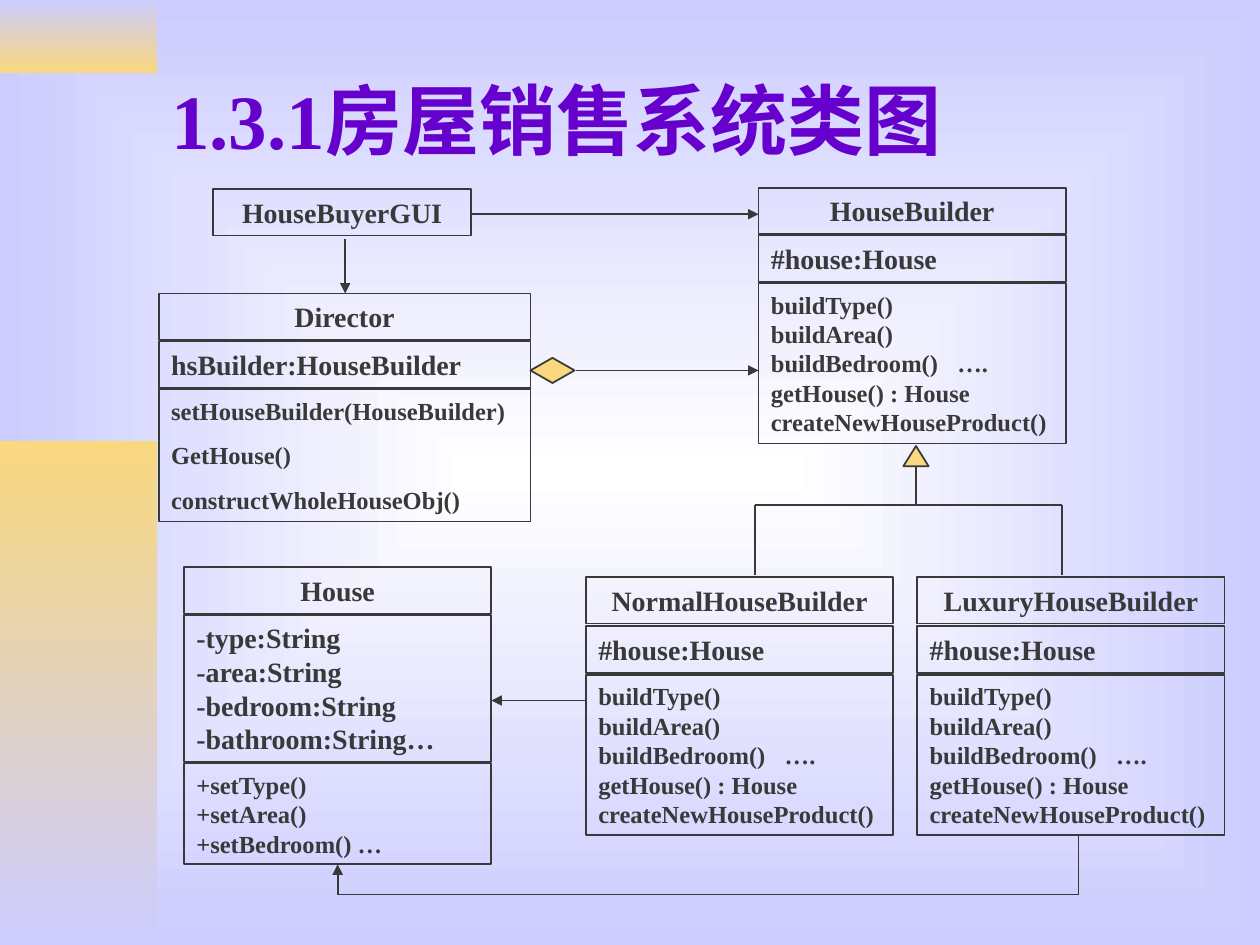
from lxml import etree
from pptx import Presentation
from pptx import util as u
from pptx.dml.color import RGBColor
from pptx.enum import shapes, text
from pptx.oxml import parse_xml
from pptx.oxml.ns import nsdecls, qn


class Theme:
    font = "Times New Roman"
    ink = RGBColor.from_string("393939")
    title = RGBColor.from_string("6600CC")
    gold = RGBColor.from_string("F9D87E")
    lilac = RGBColor.from_string("CCCCFF")
    white = RGBColor.from_string("FFFFFF")
    head, name, call = 44, 16, 14
    row = 0.37
    line = u.Pt(1)


class Board:
    def __init__(self, slide, look):
        self.slide, self.look = slide, look

    def blend(self, fill, first, last):
        fill.gradient()
        for stop, pos, hue in zip(fill.gradient_stops, (0, 1), (first, last)):
            stop.position = pos
            stop.color.rgb = hue

    def ground(self):
        self.blend(self.slide.background.fill, self.look.white, self.look.lilac)
        lin = self.slide.element.xpath(".//a:lin")[0]
        lin.getparent().replace(lin, parse_xml(
            f'<a:path {nsdecls("a")} path="rect">'
            '<a:fillToRect l="50000" t="50000" r="50000" b="50000"/></a:path>'))

    def band(self, y, h, first, last):
        box = self.shape("RECTANGLE", 0, y, 1.25, h)
        self.blend(box.fill, first, last)
        box.fill.gradient_angle = 270
        box.line.fill.background()

    def shape(self, kind, x, y, w, h, fill=None):
        form = self.slide.shapes.add_shape(
            shapes.MSO_SHAPE[kind], *map(u.Inches, (x, y, w, h)))
        form.shadow.inherit = False
        form.line.color.rgb = self.look.ink
        form.line.width = self.look.line
        if fill is None:
            form.fill.background()
        else:
            form.fill.solid()
            form.fill.fore_color.rgb = fill
        return form

    def label(self, form, lines, size, hue, align="LEFT", gap=0, anchor="TOP"):
        frame = form.text_frame
        frame.word_wrap = True
        frame.vertical_anchor = text.MSO_ANCHOR[anchor]
        style = {"name": self.look.font, "size": u.Pt(size), "bold": True}
        for i, line in enumerate(lines):
            para = frame.paragraphs[0] if i == 0 else frame.add_paragraph()
            para.alignment = text.PP_ALIGN[align]
            if i and gap:
                para.space_before = u.Pt(gap)
            if "\t" in line:
                tabs = etree.SubElement(para._p.get_or_add_pPr(), qn("a:tabLst"))
                etree.SubElement(tabs, qn("a:tab"), pos=str(u.Inches(1.48)), algn="l")
            run = para.add_run()
            run.text = line
            for key, val in style.items():
                setattr(run.font, key, val)
            run.font.color.rgb = hue

    def title(self, words):
        box = self.slide.shapes.add_textbox(*map(u.Inches, (1.26, 0.28, 8.5, 1.32)))
        self.label(box, [words], self.look.head, self.look.title, anchor="MIDDLE")

    def uml(self, name, x, y, w, parts=(), gap=0.01, lead=0):
        """Stack a name row, a field row and a method row."""
        look = self.look
        rows = [([name], look.row, look.name, "CENTER", 0)]
        for (lines, h), size, space in zip(parts, (look.name, look.call), (0, lead)):
            rows.append((lines, h, size, "LEFT", space))
        for lines, h, size, align, space in rows:
            box = self.shape("RECTANGLE", x, y, w, h)
            self.label(box, lines, size, look.ink, align, space)
            y += h + gap

    def link(self, x1, y1, x2, y2, arrow=False):
        wire = self.slide.shapes.add_connector(
            shapes.MSO_CONNECTOR.STRAIGHT, *map(u.Inches, (x1, y1, x2, y2)))
        wire.line.color.rgb = self.look.ink
        wire.line.width = self.look.line
        if arrow:
            etree.SubElement(wire.line._get_or_add_ln(), qn("a:tailEnd"), type="triangle")
        etree.SubElement(wire._element.spPr, qn("a:effectLst"))


def main():
    deck = Presentation()
    deck.slide_width, deck.slide_height = u.Inches(10), u.Inches(7.5)
    look = Theme()
    board = Board(deck.slides.add_slide(deck.slide_layouts[6]), look)

    # Backdrop and title
    board.ground()
    board.band(0, 0.58, look.lilac, look.gold)
    board.band(3.5, 4, look.gold, look.lilac)
    board.title("1.3.1房屋销售系统类图")

    # Classes
    wide = 2.44
    build = [
        (["#house:House"], look.row),
        (["buildType()", "buildArea()", "buildBedroom()\t….",
          "getHouse() : House", "createNewHouseProduct()"], 1.27),
    ]
    board.uml("HouseBuyerGUI", 1.69, 1.5, 2.05)
    board.uml("Director", 1.26, 2.33, 2.95, [
        (["hsBuilder:HouseBuilder"], look.row),
        (["setHouseBuilder(HouseBuilder)", "GetHouse()",
          "constructWholeHouseObj()"], 1.05),
    ], lead=8.8)
    board.uml("HouseBuilder", 6.02, 1.49, wide, build)
    for name, x in (("NormalHouseBuilder", 4.65), ("LuxuryHouseBuilder", 7.28)):
        board.uml(name, x, 4.58, wide, build, gap=0.02)
    board.uml("House", 1.46, 4.5, wide, [
        (["-type:String", "-area:String", "-bedroom:String",
          "-bathroom:String…"], 1.17),
        (["+setType()", "+setArea()", "+setBedroom() …"], 0.8),
    ])

    # Inheritance tree
    board.shape("FLOWCHART_EXTRACT", 7.17, 3.54, 0.2, 0.16, look.gold)
    board.link(7.27, 3.7, 7.27, 4.01)
    board.link(5.99, 4.01, 8.43, 4.01)
    for x in (5.99, 8.43):
        board.link(x, 4.01, x, 4.56)

    # Aggregation and uses
    board.shape("FLOWCHART_DECISION", 4.21, 2.84, 0.35, 0.2, look.gold)
    for ends in ((3.74, 1.7, 6.02, 1.7), (2.74, 1.9, 2.74, 2.33),
                 (4.57, 2.94, 6.02, 2.94), (4.65, 5.56, 3.9, 5.56),
                 (2.68, 7.1, 2.68, 6.86)):
        board.link(*ends, arrow=True)
    board.link(2.68, 7.1, 8.56, 7.1)
    board.link(8.56, 6.63, 8.56, 7.1)

    deck.save("out.pptx")


if __name__ == "__main__":
    main()
